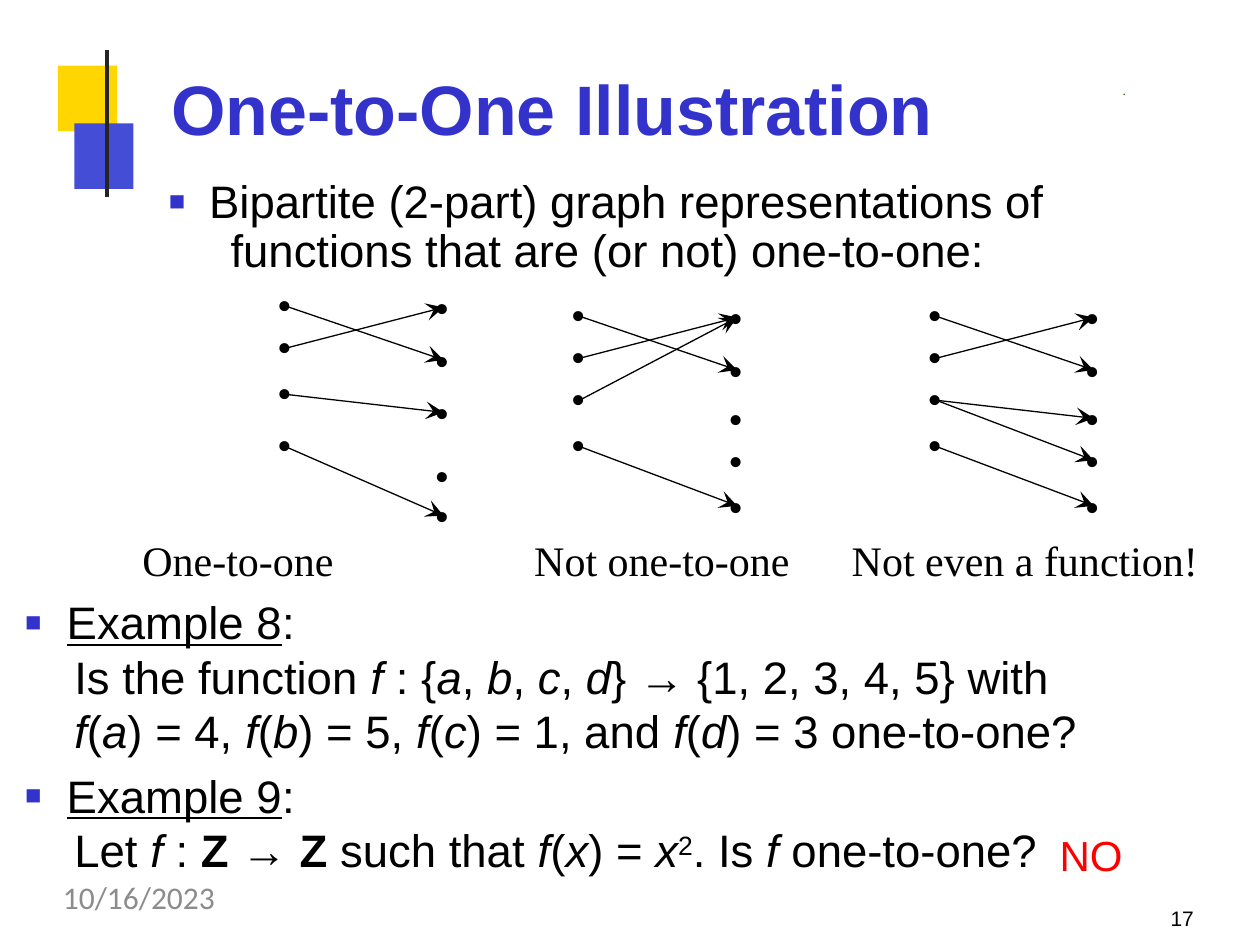
import math
from dataclasses import dataclass
from itertools import accumulate

from lxml import etree
from pptx import Presentation
from pptx import util as u
from pptx.dml import color
from pptx.enum import shapes
from pptx.oxml import ns


@dataclass(frozen=True)
class Theme:
    """Colours, fonts and type sizes of the deck."""
    accent: str = "3333CC"
    ink: str = "000000"
    answer: str = "FF0000"
    muted: str = "8C8C8C"
    mark: str = "336600"
    yellow: str = "FFD600"
    blue: str = "434DD6"
    rule: str = "252525"
    sans: str = "Arial"
    serif: str = "Times New Roman"
    footer: str = "Calibri"
    title: float = 40
    body: float = 26
    caption: float = 24
    date: float = 18
    number: float = 12
    tiny: float = 8


THEME = Theme()
MARKS = {"*": "italic", "#": "bold", "_": "underline", "^": "raised"}
ARROWS = {
    "One-to-one": [(0, 1), (1, 0), (2, 2), (3, 4)],
    "Not one-to-one": [(0, 1), (1, 0), (2, 0), (3, 4)],
    "Not even a function!": [(0, 1), (1, 0), (2, 3), (3, 4), (2, 2)],
}


def rgb(value):
    """Turn a hex string into a colour."""
    return color.RGBColor.from_string(value)


def add_runs(paragraph, marked):
    """Split marked text into runs, where each mark switches a style."""
    active, piece = set(), ""
    for char in marked + "\0":
        if char not in MARKS and char != "\0":
            piece += char
            continue
        if piece:
            run = paragraph.add_run()
            run.text = piece
            for style in active - {"raised"}:
                setattr(run.font, style, True)
            if "raised" in active:
                run._r.get_or_add_rPr().set("baseline", "26000")
        piece = ""
        active ^= {MARKS.get(char)} - {None}


def add_bullet(paragraph):
    """Give a paragraph the square accent bullet."""
    props = paragraph._p.get_or_add_pPr()
    tint = etree.SubElement(props, ns.qn("a:buClr"))
    etree.SubElement(tint, ns.qn("a:srgbClr")).set("val", THEME.accent)
    for tag, key, value in (("a:buSzPct", "val", "60000"),
                            ("a:buFont", "typeface", THEME.sans),
                            ("a:buChar", "char", "■")):
        etree.SubElement(props, ns.qn(tag)).set(key, value)


def set_indent(paragraph, margin, hanging=0):
    """Set the left margin and hanging indent in inches."""
    props = paragraph._p.get_or_add_pPr()
    props.set("marL", str(u.Inches(margin)))
    props.set("indent", str(-u.Inches(hanging)))


def style(paragraph, size, face, ink, bold=None):
    """Set the font of a whole paragraph."""
    font = paragraph.font
    font.size, font.name, font.bold = u.Pt(size), face, bold
    font.color.rgb = rgb(ink)


def add_frame(slide, left, top, width, height):
    """Add a wrapping text frame without insets."""
    frame = slide.shapes.add_textbox(*map(u.Inches, (left, top, width, height))).text_frame
    frame.word_wrap = True
    frame.margin_left = frame.margin_top = frame.margin_right = frame.margin_bottom = 0
    return frame


def add_label(slide, box, words, size, face, ink, bold=None):
    """Add a single line of text."""
    line = add_frame(slide, *box).paragraphs[0]
    line.text = words
    style(line, size, face, ink, bold)


def add_rule(slide, start, end, ink, width):
    """Add a straight line without shadow."""
    rule = slide.shapes.add_connector(
        shapes.MSO_CONNECTOR.STRAIGHT, *map(u.Inches, (*start, *end)))
    rule.line.color.rgb, rule.line.width = rgb(ink), u.Pt(width)
    etree.SubElement(rule._element.spPr, ns.qn("a:effectLst"))


def fill_plain(shape, fill):
    """Fill a shape and drop its outline and shadow."""
    shape.shadow.inherit = False
    shape.fill.solid()
    shape.fill.fore_color.rgb = rgb(fill)
    shape.line.fill.background()


def add_emblem(slide, left, top):
    """Draw the two overlapping blocks and the upright rule."""
    for dx, dy, fill in ((0, 0.12, THEME.yellow), (0.13, 0.58, THEME.blue)):
        block = slide.shapes.add_shape(
            shapes.MSO_SHAPE.RECTANGLE,
            *map(u.Inches, (left + dx, top + dy, 0.47, 0.52)))
        fill_plain(block, fill)
    add_rule(slide, (left + 0.39, top), (left + 0.39, top + 1.16), THEME.rule, 2.5)


def add_outline(slide, box, items, line_height, bullet_gap, margin):
    """Write bulleted headings with their indented continuation lines."""
    frame = add_frame(slide, *box)
    for index, (is_heading, words) in enumerate(items):
        line = frame.add_paragraph() if index else frame.paragraphs[0]
        line.line_spacing = u.Pt(line_height)
        if is_heading:
            set_indent(line, bullet_gap, bullet_gap)
            if index:
                line.space_before = u.Pt(6)
            add_bullet(line)
        else:
            set_indent(line, margin)
        add_runs(line, words)
        style(line, THEME.body, THEME.sans, THEME.ink)


def add_dots(slide, left, top, gaps):
    """Stack dots at the given distances in points."""
    frame = add_frame(slide, left, top, 0.15, sum(gaps) / 72 + 0.37)
    for index, gap in enumerate((26.4, *gaps)):
        dot = frame.add_paragraph() if index else frame.paragraphs[0]
        dot.text = "•"
        dot.line_spacing = u.Pt(gap)
        style(dot, THEME.caption, THEME.serif, THEME.ink)


def add_arrow(slide, start, tip):
    """Draw a thin line with a swept arrowhead at its tip."""
    angle = math.atan2(tip[1] - start[1], tip[0] - start[0])
    cos, sin = math.cos(angle), math.sin(angle)

    def behind(back, side):
        """Locate a point by its distance behind and beside the tip."""
        return tip[0] - back * cos - side * sin, tip[1] - back * sin + side * cos

    add_rule(slide, start, behind(0.03, 0), THEME.ink, 0.75)
    corners = [tuple(map(u.Inches, behind(*corner)))
               for corner in ((0, 0), (0.14, -0.07), (0.08, 0), (0.14, 0.07))]
    outline = slide.shapes.build_freeform(*corners[0])
    outline.add_line_segments(corners[1:], close=True)
    fill_plain(outline.convert_to_shape(), THEME.ink)


def add_graph(slide, left, top, domain_gaps, range_gaps, arrows):
    """Draw a bipartite graph from two dot columns and index pairs."""
    add_dots(slide, left, top, domain_gaps)
    add_dots(slide, left + 1.25, top + 0.03, range_gaps)
    starts = [top + 0.19 + y / 72 for y in accumulate(domain_gaps, initial=0)]
    ends = [top + 0.2 + y / 72 for y in accumulate(range_gaps, initial=0)]
    for source, target in arrows:
        add_arrow(slide, (left + 0.07, starts[source]), (left + 1.32, ends[target]))


def add_graphs(slide, top):
    """Place the three graphs with their captions."""
    even = (24, 24, 26.4), (30, 27.6, 24, 26)
    layout = [(2.2, 0, (24, 26.4, 30), (30, 30, 36, 23), 1.13),
              (4.53, 0.08, *even, 4.24),
              (7.36, 0.08, *even, 6.76)]
    for (caption, arrows), (left, drop, domain, codomain, caption_left) in zip(
            ARROWS.items(), layout):
        add_graph(slide, left, top + drop, domain, codomain, arrows)
        add_label(slide, (caption_left, top + 2, 2.9, 0.4), caption,
                  THEME.caption, THEME.serif, THEME.ink)


def add_footer(slide, left, top):
    """Write the date and the slide number."""
    add_label(slide, (left, top, 2.3, 0.38), "10/16/2023",
              THEME.date, THEME.footer, THEME.muted)
    add_label(slide, (left + 8.79, top + 0.22, 0.47, 0.2), "17",
              THEME.number, THEME.sans, THEME.ink)


def main():
    """Build the slide and save it."""
    deck = Presentation()
    deck.slide_width, deck.slide_height = u.Inches(10), u.Inches(7.5)
    slide = deck.slides.add_slide(deck.slide_layouts[6])
    add_emblem(slide, 0.46, 0.4)
    add_label(slide, (8.91, 0.65, 0.97, 0.15), ".", THEME.tiny, THEME.serif, THEME.mark)
    add_label(slide, (1.36, 0.52, 6.4, 0.69), "One-to-One Illustration",
              THEME.title, THEME.sans, THEME.accent, True)
    add_outline(slide, (1.34, 1.42, 7.03, 0.8), [
        (True, "Bipartite (2-part) graph representations of"),
        (False, "functions that are (or not) one-to-one:"),
    ], 28, 0.32, 0.49)
    add_graphs(slide, 2.24)
    add_outline(slide, (0.2, 4.72, 9.44, 2.24), [
        (True, "_Example 8_:"),
        (False, "Is the function *f* : {*a*, *b*, *c*, *d*} → {1, 2, 3, 4, 5} with"),
        (False, "*f*(*a*) = 4, *f*(*b*) = 5, *f*(*c*) = 1, and *f*(*d*) = 3 one-to-one?"),
        (True, "_Example 9_:"),
        (False, "Let *f* : #Z# → #Z# such that *f*(*x*) = *x*^2^. Is *f* one-to-one?"),
    ], 31, 0.33, 0.39)
    add_label(slide, (8.41, 6.58, 0.6, 0.4), "NO", THEME.caption, THEME.sans, THEME.answer)
    add_footer(slide, 0.5, 6.97)
    deck.save("out.pptx")


if __name__ == "__main__":
    main()
